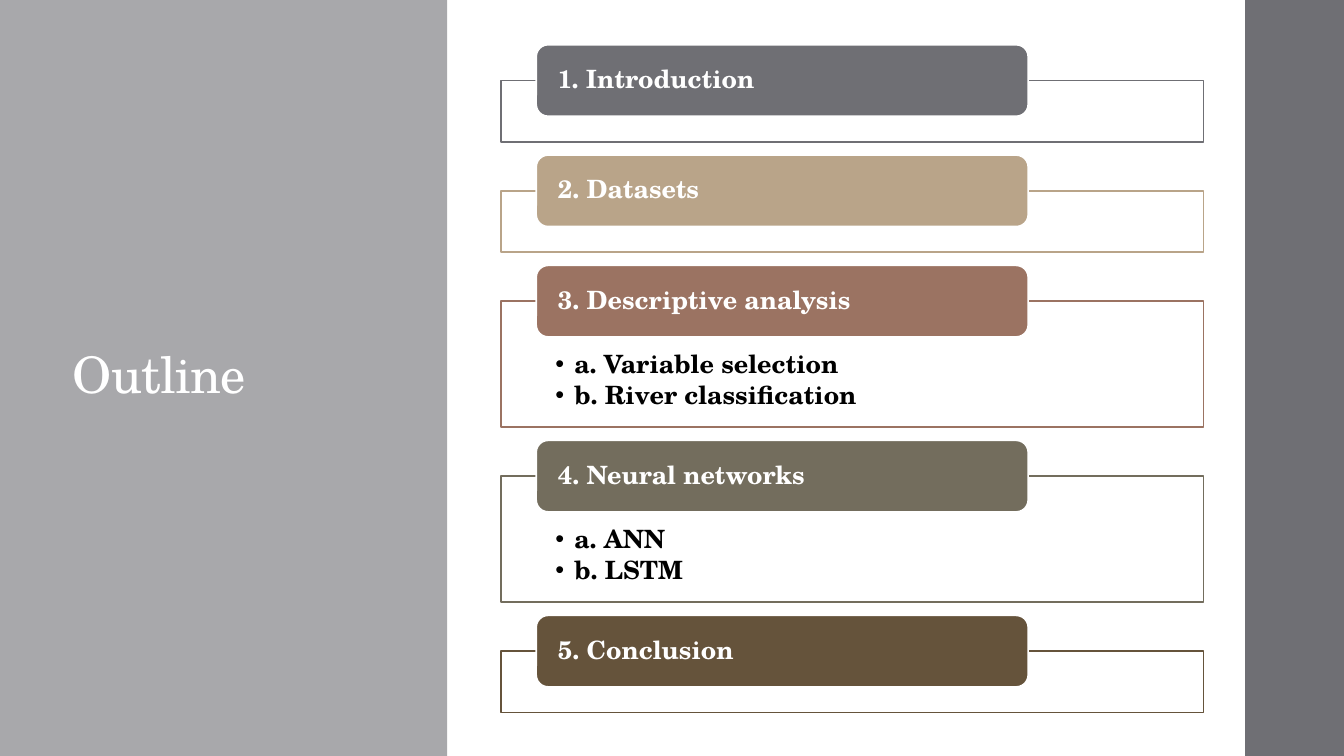
from dataclasses import dataclass

from lxml.etree import SubElement
from pptx import Presentation
from pptx.dml.color import RGBColor as RGB
from pptx.enum.shapes import MSO_SHAPE as SHAPE
from pptx.enum.text import MSO_ANCHOR as ANCHOR, PP_ALIGN as ALIGN
from pptx.oxml.ns import qn
from pptx.util import Pt


@dataclass(frozen=True)
class Theme:
    font: str = "TeX Gyre Schola"
    title_size: float = 36
    text_size: float = 18
    line_width: float = 1.1
    white: str = "FFFFFF"
    black: str = "000000"
    panel: str = "A8A8AB"
    side_bar: str = "6F6F74"


THEME = Theme()
SLIDE_W, SLIDE_H = 960, 540

# Section frames, with a header straddling each top edge
FRAME_X, FRAME_W = 357.84, 501.84
HEADER_X, HEADER_W, HEADER_H = 383.04, 351.36, 51
FIRST_TOP, GAP = 32, 9.5
EMPTY_H, LIST_H = 43.8, 90

# Header, colour, bullet items
SECTIONS = [
    ("1. Introduction", "6F6F74", []),
    ("2. Datasets", "B9A489", []),
    ("3. Descriptive analysis", "9B7362",
     ["a. Variable selection", "b. River classification"]),
    ("4. Neural networks", "736D5D", ["a. ANN", "b. LSTM"]),
    ("5. Conclusion", "65533B", []),
]


def add_box(slide, kind, box, fill, line=None):
    sp = slide.shapes.add_shape(kind, *map(Pt, box))
    sp.shadow.inherit = False
    sp.fill.solid()
    sp.fill.fore_color.rgb = RGB.from_string(fill)
    if line:
        sp.line.color.rgb = RGB.from_string(line)
        sp.line.width = Pt(THEME.line_width)
    else:
        sp.line.fill.background()
    return sp


def set_text(sp, text, size, color, bold, anchor, insets, space_after):
    tf = sp.text_frame
    tf.text = text
    tf.word_wrap = True
    tf.vertical_anchor = anchor
    tf.margin_left, tf.margin_top, tf.margin_right, tf.margin_bottom = map(Pt, insets)
    for p in tf.paragraphs:
        p.alignment = ALIGN.LEFT
        p.line_spacing = 0.9
        p.space_before = Pt(0)
        p.space_after = Pt(space_after)
        for r in p.runs:
            r.font.name = THEME.font
            r.font.size = Pt(size)
            r.font.bold = bold
            r.font.color.rgb = RGB.from_string(color)


def add_bullets(tf, indent):
    for p in tf.paragraphs:
        pPr = p._p.get_or_add_pPr()
        pPr.set("marL", str(Pt(indent)))
        pPr.set("indent", str(-Pt(indent)))
        SubElement(pPr, qn("a:buFont")).set("typeface", "Arial")
        SubElement(pPr, qn("a:buChar")).set("char", "•")


def add_title(slide, text):
    title = slide.shapes.title
    title.left, title.top, title.width, title.height = map(Pt, (44.64, 65.52, 213.84, 408.24))
    set_text(title, text, THEME.title_size, THEME.white, False,
             ANCHOR.MIDDLE, (7.2, 3.6, 7.2, 3.6), 6)
    for r in title.text_frame.paragraphs[0].runs:
        r.font._element.set("spc", "-50")
    # Bring the title in front of the panel
    slide.shapes._spTree.append(title._element)


def add_section(slide, top, header, color, items):
    """Draw one section and return the top of the next."""
    frame_top = top + HEADER_H / 2
    frame_h = LIST_H if items else EMPTY_H
    frame = add_box(slide, SHAPE.RECTANGLE, (FRAME_X, frame_top, FRAME_W, frame_h),
                    THEME.white, color)
    if items:
        set_text(frame, "\n".join(items), THEME.text_size, THEME.black, True,
                 ANCHOR.TOP, (38.9, 36, 38.9, 10), 2.7)
        add_bullets(frame.text_frame, 13.5)
    tab = add_box(slide, SHAPE.ROUNDED_RECTANGLE, (HEADER_X, top, HEADER_W, HEADER_H),
                  color, THEME.white)
    set_text(tab, header, THEME.text_size, THEME.white, True,
             ANCHOR.MIDDLE, (13, 0, 13, 0), 0)
    return frame_top + frame_h + GAP


def main():
    prs = Presentation()
    prs.slide_width, prs.slide_height = Pt(SLIDE_W), Pt(SLIDE_H)
    slide = prs.slides.add_slide(prs.slide_layouts[5])

    # Left panel and title
    add_box(slide, SHAPE.RECTANGLE, (0, 0, 319.5, SLIDE_H), THEME.panel)
    add_title(slide, "Outline")

    # Sections
    top = FIRST_TOP
    for header, color, items in SECTIONS:
        top = add_section(slide, top, header, color, items)

    # Right bar
    add_box(slide, SHAPE.RECTANGLE, (889.5, 0, 70.5, SLIDE_H), THEME.side_bar, THEME.side_bar)
    prs.save("out.pptx")


if __name__ == "__main__":
    main()
